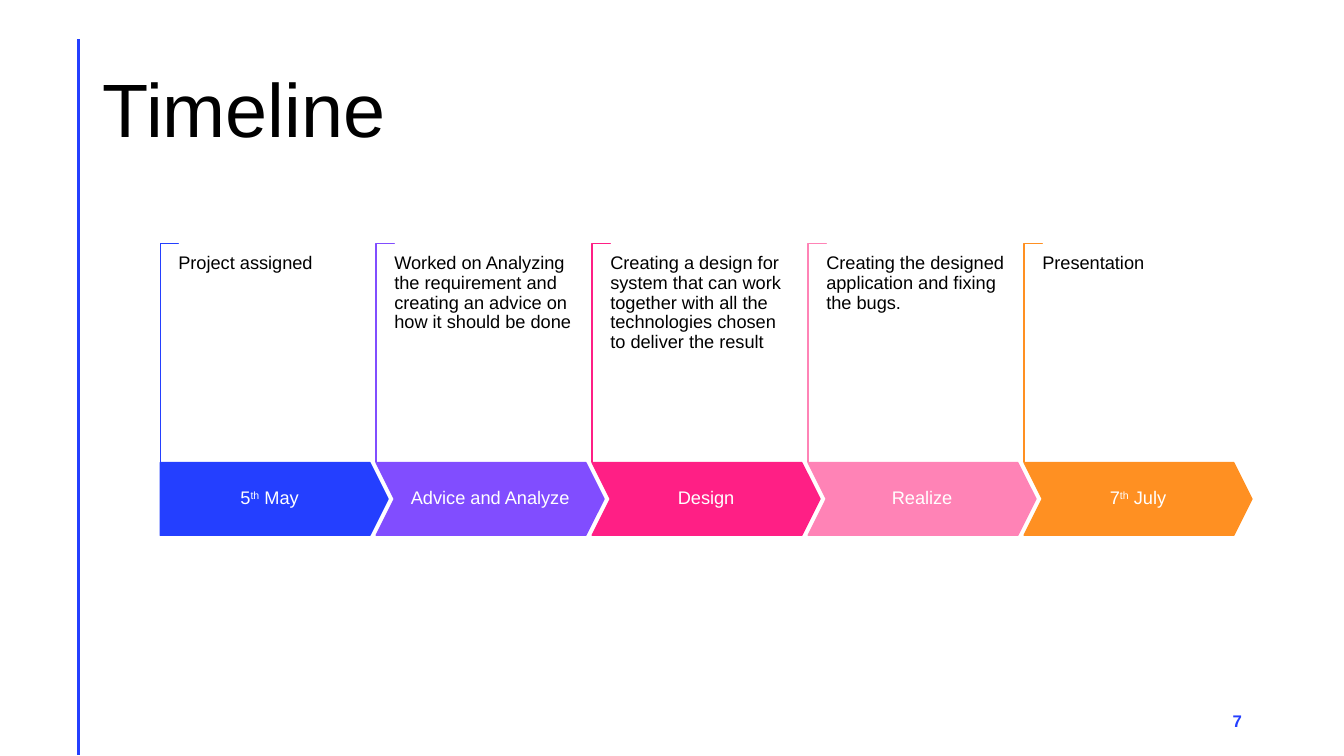
"""Build a five-phase project timeline slide."""
import dataclasses

import lxml.etree
import pptx
import pptx.dml.color
import pptx.enum.shapes
import pptx.enum.text
import pptx.oxml.ns
import pptx.shapes.autoshape
import pptx.slide
import pptx.text.text
import pptx.util

RGBColor = pptx.dml.color.RGBColor
Shape = pptx.enum.shapes.MSO_SHAPE
Align = pptx.enum.text.PP_ALIGN
Anchor = pptx.enum.text.MSO_ANCHOR

BLUE = RGBColor(0x24, 0x3F, 0xFF)
VIOLET = RGBColor(0x81, 0x4D, 0xFF)
MAGENTA = RGBColor(0xFF, 0x1F, 0x85)
PINK = RGBColor(0xFF, 0x83, 0xB6)
ORANGE = RGBColor(0xFF, 0x90, 0x22)
WHITE = RGBColor(0xFF, 0xFF, 0xFF)
BLACK = RGBColor(0x00, 0x00, 0x00)

WIDTH = pptx.util.Inches(13.33)
HEIGHT = pptx.util.Inches(7.5)
FIRST_COLUMN, COLUMN_STEP = 11.92, 16.07
INDENT = 1.35


@dataclasses.dataclass(frozen=True)
class Box:
    """A rectangle in percent of the slide's width and height."""

    left: float
    top: float
    width: float
    height: float

    def emu(self) -> tuple[int, int, int, int]:
        """Return left, top, width and height in EMU."""
        return (int(self.left * WIDTH / 100), int(self.top * HEIGHT / 100),
                int(self.width * WIDTH / 100), int(self.height * HEIGHT / 100))


@dataclasses.dataclass(frozen=True)
class Phase:
    """One timeline step; label holds plain and raised parts in turn."""

    label: tuple[str, ...]
    detail: str
    color: RGBColor
    kind: Shape = Shape.CHEVRON
    detail_height: float = 20.67


PHASES = (
    Phase(("5", "th", " May"), "Project assigned", BLUE, Shape.PENTAGON, 26.13),
    Phase(("Advice and Analyze",),
          "Worked on Analyzing the requirement and creating an advice on how it should be done",
          VIOLET),
    Phase(("Design",),
          "Creating a design for system that can work together with all the "
          "technologies chosen to deliver the result", MAGENTA),
    Phase(("Realize",), "Creating the designed application and fixing the bugs.", PINK),
    Phase(("7", "th", " July"), "Presentation", ORANGE),
)


def style(p: pptx.text.text._Paragraph, size: float, color: RGBColor,
          align: Align = Align.LEFT, spacing: float = 0.9) -> None:
    """Set a paragraph's font, alignment and line spacing."""
    p.font.name = "Arial"
    p.font.size = pptx.util.Pt(size)
    p.font.color.rgb = color
    p.alignment = align
    p.line_spacing = spacing


def set_insets(tf: pptx.text.text.TextFrame, across: float, down: float) -> None:
    """Set the text frame's insets in inches."""
    tf.margin_left = tf.margin_right = pptx.util.Inches(across)
    tf.margin_top = tf.margin_bottom = pptx.util.Inches(down)


def add_rule(s: pptx.slide.Slide) -> None:
    """Draw the vertical rule beside the title."""
    x, top, _, height = Box(5.85, 5.2, 0, 94.67).emu()
    line = s.shapes.add_connector(
        pptx.enum.shapes.MSO_CONNECTOR.STRAIGHT, x, top, x, top + height)
    line.line.color.rgb = BLUE
    line.line.width = pptx.util.Pt(2)
    lxml.etree.SubElement(line._element.spPr, pptx.oxml.ns.qn("a:effectLst"))


def add_title(s: pptx.slide.Slide, text: str) -> None:
    """Fill and place the title placeholder."""
    sp = s.shapes.title
    sp.left, sp.top, sp.width, sp.height = Box(6.9, 5.33, 86.25, 19.33).emu()
    tf = sp.text_frame
    tf.text = text
    tf.auto_size = pptx.enum.text.MSO_AUTO_SIZE.NONE
    tf.vertical_anchor = Anchor.MIDDLE
    style(tf.paragraphs[0], 54, BLACK)


def add_text(s: pptx.slide.Slide, box: Box, text: str) -> pptx.text.text.TextFrame:
    """Add a wrapping text box and return its frame."""
    tf = s.shapes.add_textbox(*box.emu()).text_frame
    tf.word_wrap = True
    tf.text = text
    return tf


def add_page_number(s: pptx.slide.Slide, number: str) -> None:
    """Add the page number at the lower right."""
    tf = add_text(s, Box(70.65, 92.67, 22.5, 5.33), number)
    tf.vertical_anchor = Anchor.MIDDLE
    p = tf.paragraphs[0]
    style(p, 12, BLUE, Align.RIGHT, 1.0)
    p.font.bold = True


def add_shape(s: pptx.slide.Slide, kind: Shape, box: Box, fill: RGBColor,
              line: RGBColor) -> pptx.shapes.autoshape.Shape:
    """Add a flat preset shape with a thin outline."""
    sp = s.shapes.add_shape(kind, *box.emu())
    sp.shadow.inherit = False
    sp.fill.solid()
    sp.fill.fore_color.rgb = fill
    sp.line.color.rgb = line
    sp.line.width = pptx.util.Pt(1)
    return sp


def add_bracket(s: pptx.slide.Slide, left: float, color: RGBColor) -> None:
    """Draw the corner bracket above a ribbon by a quarter turn."""
    box = Box(left, 32.2, INDENT, 28.93)
    sp = add_shape(s, Shape.CORNER, box, WHITE, color)
    x, y, w, h = box.emu()
    sp.left, sp.top, sp.width, sp.height = x + (w - h) // 2, y + (h - w) // 2, h, w
    sp.rotation = 90
    sp.adjustments[0] = sp.adjustments[1] = 0.01


def add_ribbon(s: pptx.slide.Slide, left: float, phase: Phase) -> None:
    """Draw a phase's arrow with its label."""
    sp = add_shape(s, phase.kind, Box(left, 61.2, 16.95, 9.6), phase.color, phase.color)
    sp.adjustments[0] = 0.25
    tf = sp.text_frame
    tf.word_wrap = True
    tf.vertical_anchor = Anchor.MIDDLE
    set_insets(tf, 0.09, 0.18)
    p = tf.paragraphs[0]
    style(p, 13, WHITE, Align.CENTER)
    for i, part in enumerate(phase.label):
        r = p.add_run()
        r.text = part
        if i % 2:
            r._r.get_or_add_rPr().set("baseline", "30000")


def add_phase(s: pptx.slide.Slide, column: int, phase: Phase) -> None:
    """Draw one column of the timeline."""
    left = FIRST_COLUMN + column * COLUMN_STEP
    add_bracket(s, left, phase.color)
    add_ribbon(s, left, phase)
    tf = add_text(s, Box(left + INDENT, 33.6, 13.73, phase.detail_height), phase.detail)
    set_insets(tf, 0, 0)
    style(tf.paragraphs[0], 13, BLACK)


def main() -> None:
    """Build and save the presentation."""
    prs = pptx.Presentation()
    prs.slide_width, prs.slide_height = WIDTH, HEIGHT
    s = prs.slides.add_slide(prs.slide_layouts.get_by_name("Title Only"))
    add_rule(s)
    add_title(s, "Timeline")
    add_page_number(s, "7")
    for column, phase in enumerate(PHASES):
        add_phase(s, column, phase)
    prs.save("out.pptx")


if __name__ == "__main__":
    main()
